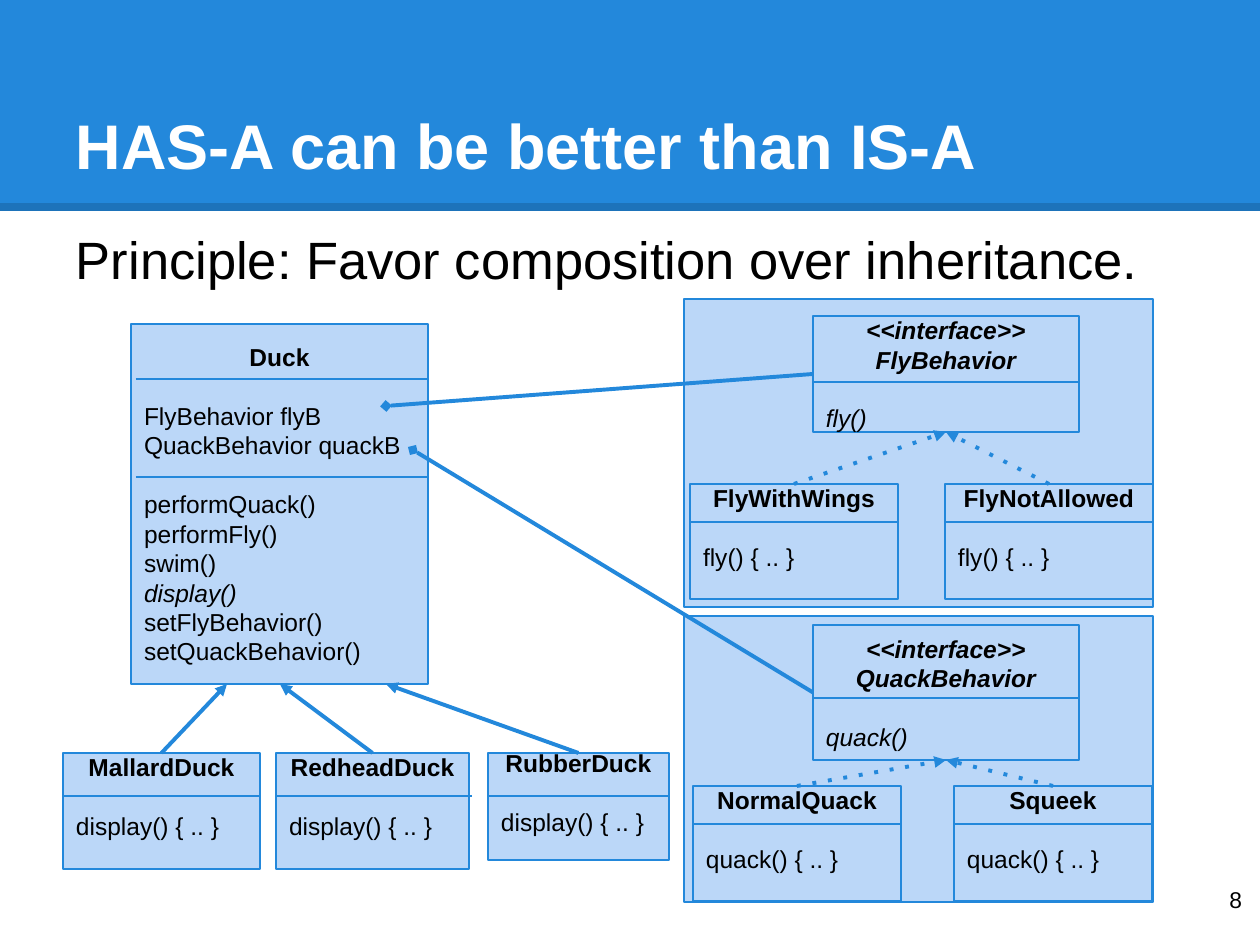
import pptx
import pptx.util
import pptx.dml.color
import pptx.enum.shapes
import pptx.enum.text
import lxml.etree

SCALE = 914400 / 126
LINE = 29
NS = "{http://schemas.openxmlformats.org/drawingml/2006/main}"
ALIGN = pptx.enum.text.PP_ALIGN
ANCHOR = pptx.enum.text.MSO_ANCHOR
BLUE, PALE, BLACK, WHITE = "2388DB", "BBD7F8", "000000", "FFFFFF"


def emu(px):
    return round(px * SCALE)


def color(code):
    return pptx.dml.color.RGBColor.from_string(code)


def node(parent, tag, **attrs):
    return lxml.etree.SubElement(parent, NS + tag, attrs)


class Deck:
    """Holds the style and the current slide, and draws each kind of element."""

    font = "Arial"
    size = 14
    inset = 13

    def __init__(self):
        self.show = pptx.Presentation()
        self.show.slide_width, self.show.slide_height = emu(1260), emu(945)
        self.slide = self.show.slides.add_slide(self.show.slide_layouts[1])
        self.shapes = self.slide.shapes

    def frame(self, shape, anchor, top=inset, bottom=inset):
        frame = shape.text_frame
        frame.word_wrap = True
        frame.auto_size = pptx.enum.text.MSO_AUTO_SIZE.NONE
        frame.vertical_anchor = anchor
        frame.margin_left = frame.margin_right = emu(self.inset)
        frame.margin_top, frame.margin_bottom = emu(top), emu(bottom)
        return frame

    def words(self, para, text, size, code=BLACK, bold=False, slant=False):
        run = para.add_run()
        run.text = text
        font = run.font
        font.name, font.size = self.font, pptx.util.Pt(size)
        font.bold, font.italic = bold, slant
        font.color.rgb = color(code)

    def holder(self, item, box, text, size, code, anchor, top=inset, bold=False):
        item.left, item.top, item.width, item.height = map(emu, box)
        tree = item.element.getparent()
        tree.append(item.element)
        para = self.frame(item, anchor, top).paragraphs[0]
        props = para._p.get_or_add_pPr()
        props.set("marL", "0")
        props.set("indent", "0")
        node(props, "buNone")
        para.alignment = ALIGN.LEFT
        para.space_before = pptx.util.Pt(0)
        self.words(para, text, size, code, bold)

    def label(self, box, text, size):
        item = self.shapes.add_textbox(*map(emu, box))
        para = self.frame(item, ANCHOR.TOP).paragraphs[0]
        para.alignment = ALIGN.RIGHT
        self.words(para, text, size)

    def panel(self, box, fill=PALE, edge=BLUE):
        kind = pptx.enum.shapes.MSO_SHAPE.RECTANGLE
        shape = self.shapes.add_shape(kind, *map(emu, box))
        shape.shadow.inherit = False
        shape.fill.solid()
        shape.fill.fore_color.rgb = color(fill)
        if edge:
            shape.line.color.rgb = color(edge)
            shape.line.width = pptx.util.Pt(1.5)
        else:
            shape.line.fill.background()
        return shape

    def line(self, start, end, width=1.5, code=BLUE, dash=None, head=None, tail=None):
        kind = pptx.enum.shapes.MSO_CONNECTOR.STRAIGHT
        link = self.shapes.add_connector(kind, *map(emu, start + end))
        link.line.color.rgb = color(code)
        link.line.width = pptx.util.Pt(width)
        props = link.line._get_or_add_ln()
        if dash:
            node(props, "prstDash", val=dash)
        for tag, tip in (("headEnd", head), ("tailEnd", tail)):
            if tip:
                node(props, tag, type=tip)
        node(link.element.spPr, "effectLst")
        return link

    def card(self, box, heads, groups, rules, slant=False, spare=0, trim=0, over=0):
        shape = self.panel(box)
        frame = self.frame(shape, ANCHOR.MIDDLE, bottom=self.inset + spare)
        rows = [(text, True, slant, False) for text in heads]
        for group in groups:
            rows += [(text.strip("*"), False, slant or text[0] == "*", i == 0)
                     for i, text in enumerate(group)]
        for i, (text, bold, tilt, gap) in enumerate(rows):
            para = frame.add_paragraph() if i else frame.paragraphs[0]
            para.alignment = ALIGN.CENTER if bold else ALIGN.LEFT
            para.line_spacing = pptx.util.Pt(16.8)
            if gap:
                para.space_before = pptx.util.Pt(16.8)
            self.words(para, text, self.size, bold=bold, slant=tilt)
        left, top, wide, high = box
        for y in rules:
            self.line((left + trim, y), (left + wide + over, y))
        return shape

    def child(self, box, name, call, rule, over=0):
        return self.card(box, [name], [[call + " { .. }"]], [rule], spare=LINE, over=over)


def main():
    deck = Deck()
    deck.panel((0, 0, 1260, 211), BLUE, None)
    band = deck.line((0, 207), (1260, 207), 4.5, BLACK)
    tint = band.element.spPr.find(".//" + NS + "srgbClr")
    node(tint, "alpha", val="15000")
    deck.holder(deck.shapes.title, (63, 38, 1134, 157), "HAS-A can be better than IS-A",
                36, WHITE, ANCHOR.BOTTOM, bold=True)
    deck.holder(deck.slide.placeholders[1], (63, 210, 1134, 157),
                "Principle: Favor composition over inheritance.", 30, BLACK, ANCHOR.TOP, top=17)

    duck = ["performQuack()", "performFly()", "swim()", "*display()*",
            "setFlyBehavior()", "setQuackBehavior()"]
    deck.card((131, 324, 297, 360), ["Duck"],
              [["FlyBehavior flyB", "QuackBehavior quackB"], duck], [379, 477], trim=5)

    groups = [
        ((684, 299, 469, 308), (813, 316, 266, 116), "FlyBehavior", "fly()", 382, 522,
         [("FlyWithWings", (690, 484, 208, 115)), ("FlyNotAllowed", (945, 484, 208, 115))],
         (386, 406)),
        ((684, 616, 469, 286), (813, 625, 266, 135), "QuackBehavior", "quack()", 698, 824,
         [("NormalQuack", (693, 786, 208, 115)), ("Squeek", (954, 786, 198, 115))],
         (413, 450)),
    ]
    for area, box, name, call, rule, low, kids, start in groups:
        deck.panel(area)
        base = deck.card(box, ["<<interface>>", name], [[call]], [rule], slant=True)
        for title, place in kids:
            kid = deck.child(place, title, call, low)
            link = deck.line((0, 0), (9, 9), 2.25, dash="dot", tail="triangle")
            link.begin_connect(kid, 0)
            link.end_connect(base, 2)
        link = deck.line(start, (813, 374), 2.25, head="diamond")
        link.end_connect(base, 1)

    ducks = [("MallardDuck", 63, 197, 116, 0, 227), ("RedheadDuck", 276, 193, 116, 3, 280),
             ("RubberDuck", 488, 181, 107, 0, 386)]
    for name, left, wide, high, over, goal in ducks:
        kid = deck.child((left, 753, wide, high), name, "display()", 796, over)
        link = deck.line((left, 753), (goal, 684), 2.25, tail="triangle")
        link.begin_connect(kid, 0)

    deck.label((1179, 873, 76, 72), "8", 13)
    deck.show.save("out.pptx")


if __name__ == "__main__":
    main()
